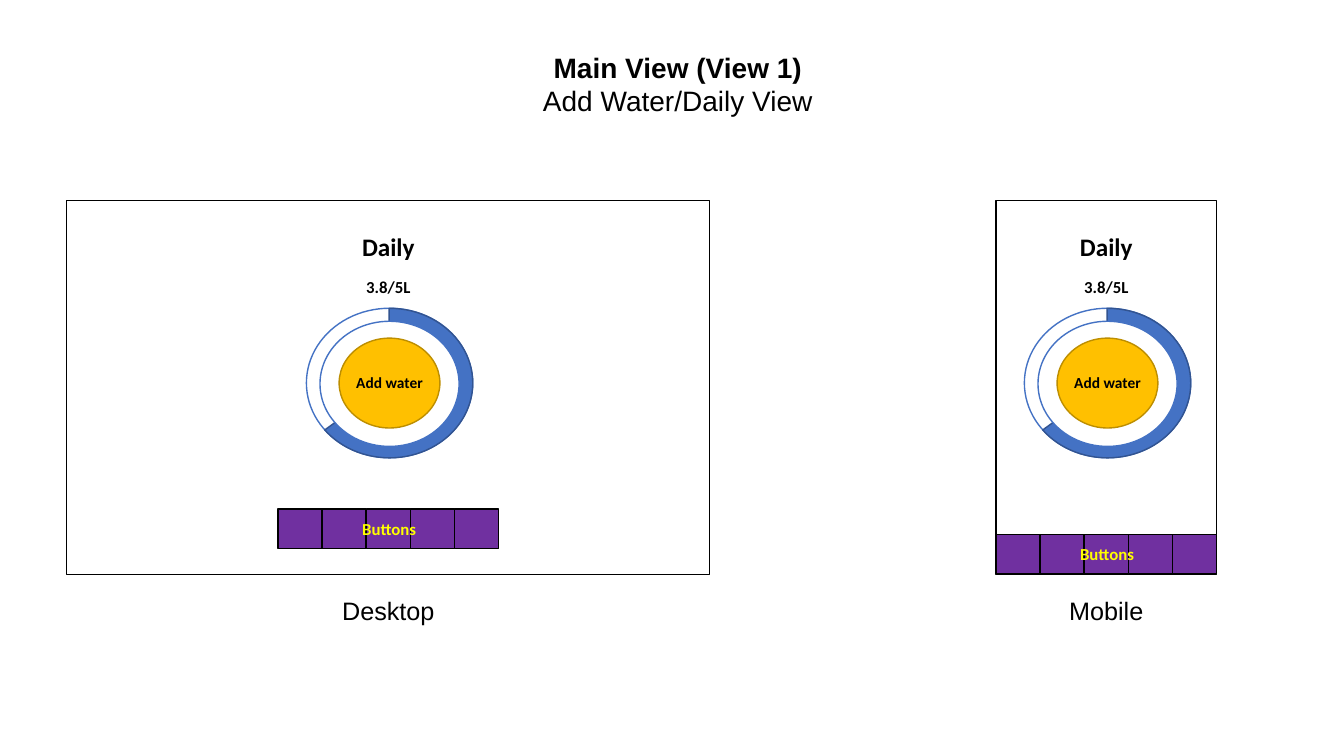
from pptx import Presentation
from pptx.dml.color import RGBColor
from pptx.enum.shapes import MSO_SHAPE as Shape
from pptx.enum.text import MSO_AUTO_SIZE as AutoSize, PP_ALIGN as Align
from pptx.util import Inches, Pt

COLUMNS, ROWS = 160, 90
CELL = Inches(1) / 12
RING_ROW = 45.6
BUTTON_COUNT = 5


def color(value):
    return RGBColor.from_string(value)


def cells(*lengths):
    return [round(length * CELL) for length in lengths]


def add_figure(shapes, kind, area, fill, line):
    figure = shapes.add_shape(kind, *cells(*area))
    figure.shadow.inherit = False
    figure.fill.solid()
    figure.fill.fore_color.rgb = color(fill)
    figure.line.color.rgb = color(line)
    figure.line.width = Pt(1)
    return figure


def centered(center, row, width, height):
    return center - width / 2, row - height / 2, width, height


def style_span(span, size=18, font="Arial", ink="000000", bold=False):
    span.font.size = Pt(size)
    span.font.name = font
    span.font.bold = bold
    span.font.color.rgb = color(ink)


def add_text(shapes, text, area, **style):
    box = shapes.add_textbox(*cells(*area))
    frame = box.text_frame
    frame.word_wrap = True
    frame.auto_size = AutoSize.SHAPE_TO_FIT_TEXT
    frame.text = text
    for para in frame.paragraphs:
        para.alignment = Align.CENTER
        for span in para.runs:
            style_span(span, **style)
    return box


def add_ring(shapes, center):
    outer = centered(center, RING_ROW, 19.8, 17.8)
    add_figure(shapes, Shape.OVAL, outer, "FFFFFF", "4472C4")
    progress = add_figure(shapes, Shape.PIE, outer, "4472C4", "325491")
    progress.rotation = 180
    progress.adjustments[0] = 53.76
    progress.adjustments[1] = 194.49
    inner = centered(center, RING_ROW + 0.1, 16.56, 14.9)
    add_figure(shapes, Shape.OVAL, inner, "FFFFFF", "4472C4")
    button = centered(center, RING_ROW, 12, 10.7)
    add_figure(shapes, Shape.OVAL, button, "FFC000", "BD8E00")
    add_text(shapes, "Add water", centered(center, RING_ROW, 11.04, 3.48),
             size=11, font="Calibri", bold=True)


def add_button_bar(shapes, center, top):
    bar = shapes.add_group_shape().shapes
    width, height = 26.3, 4.7
    left = center - width / 2
    step = width / BUTTON_COUNT
    for index in range(BUTTON_COUNT):
        area = (left + index * step, top, step, height)
        add_figure(bar, Shape.RECTANGLE, area, "7030A0", "000000")
    add_text(bar, "Buttons", (left + 0.1, top + 0.55, width, 3.6),
             size=12, font="Calibri", ink="FFFF00", bold=True)


def add_screen(shapes, caption, left, width, bar_top):
    center = left + width / 2
    add_figure(shapes, Shape.RECTANGLE, (left, 23.9, width, 44.5), "FFFFFF", "000000")
    add_text(shapes, caption, (left, 70.3, width, 4.8))
    add_text(shapes, "Daily", (left, 27, width, 4.8),
             font="Calibri", bold=True)
    add_text(shapes, "3.8/5L", (left, 32.3, width, 3.6),
             size=12, font="Calibri", bold=True)
    add_ring(shapes, center + 0.15)
    add_button_bar(shapes, center, bar_top)


def main():
    deck = Presentation()
    deck.slide_width, deck.slide_height = cells(COLUMNS, ROWS)
    page = deck.slides.add_slide(deck.slide_layouts[6])
    shapes = page.shapes
    title = add_text(shapes, "Main View (View 1)\nAdd Water/Daily View",
                     (3.84, 5.4, 153.7, 9.2), size=20)
    title.text_frame.paragraphs[0].runs[0].font.bold = True
    add_screen(shapes, "Desktop", 7.95, 76.55, 60.6)
    add_screen(shapes, "Mobile", 118.55, 26.3, 63.6)
    deck.save("out.pptx")


if __name__ == "__main__":
    main()
